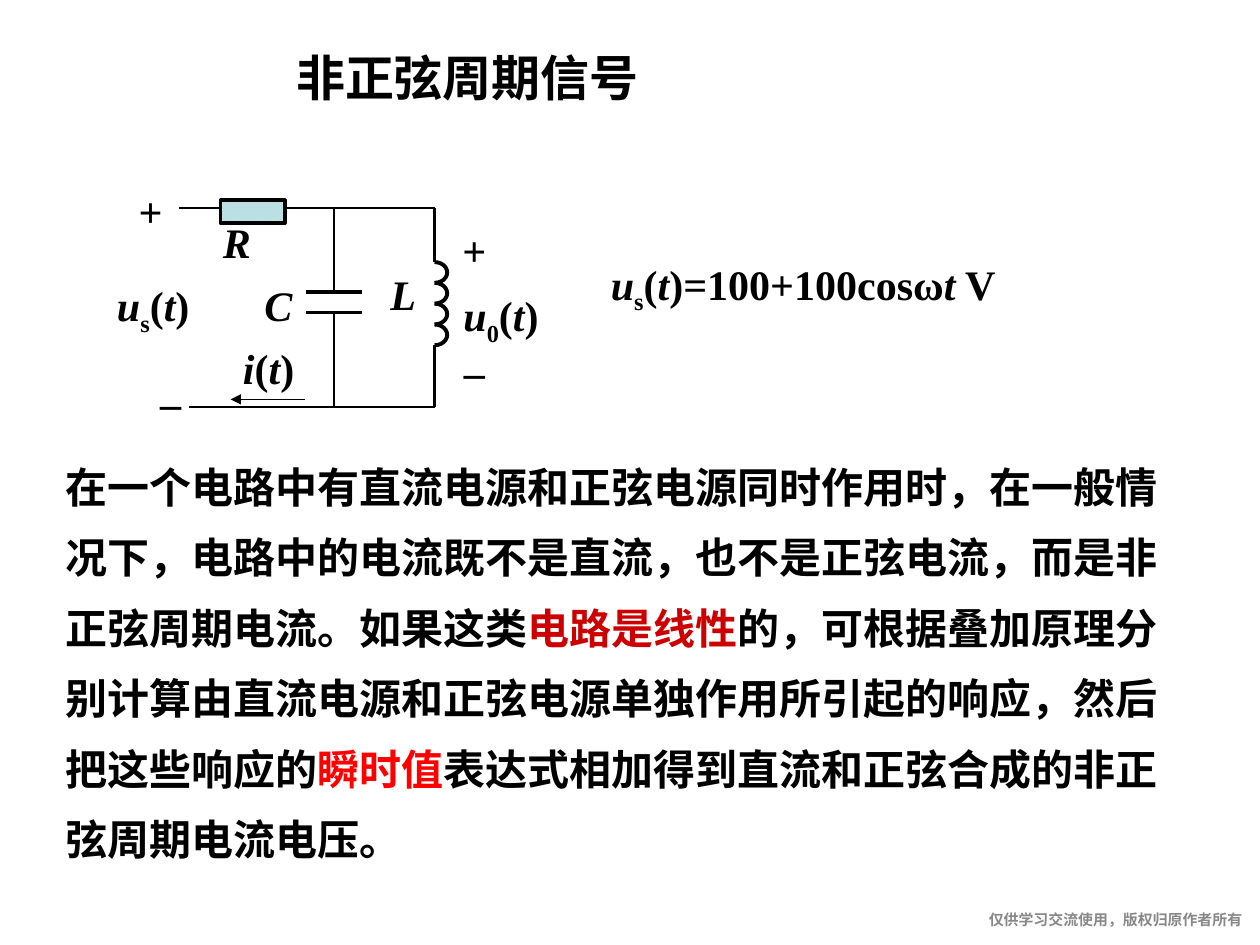
from lxml import etree
from pptx import Presentation
from pptx.dml.color import RGBColor
from pptx.enum.lang import MSO_LANGUAGE_ID as Language
from pptx.enum.shapes import MSO_CONNECTOR as Connector, MSO_SHAPE as Shape
from pptx.enum.text import MSO_ANCHOR as Anchor, MSO_AUTO_SIZE as AutoSize, PP_ALIGN as Align
from pptx.oxml.ns import qn
from pptx.util import Inches, Pt

BLACK = RGBColor(0, 0, 0)
DARK_RED = RGBColor(0xCC, 0, 0)
RED = RGBColor(0xFF, 0, 0)
GRAY = RGBColor(0x88, 0x88, 0x88)
RESISTOR_FILL = RGBColor(0xBB, 0xE0, 0xE3)
SERIF = "Times New Roman"

TITLE = "非正弦周期信号"
FOOTER = "仅供学习交流使用，版权归原作者所有"
BODY = [
    ("在一个电路中有直流电源和正弦电源同时作用时，在一般情况下，电路中的电流既不是直流，"
     "也不是正弦电流，而是非正弦周期电流。如果这类", BLACK),
    ("电路是线性", DARK_RED),
    ("的，可根据叠加原理分别计算由直流电源和正弦电源单独作用所引起的响应，然后把这些响应的", BLACK),
    ("瞬时值", RED),
    ("表达式相加得到直流和正弦合成的非正弦周期电流电压。", BLACK),
]

OF_TIME = [("(", ""), ("t", "italic"), (")", "")]
SOURCE_VOLTAGE = [("u", "italic"), ("s", "sub")] + OF_TIME
OUTPUT_VOLTAGE = [("u", "italic"), ("0", "sub")] + OF_TIME
CURRENT = [("i", "italic")] + OF_TIME
EQUATION = SOURCE_VOLTAGE[:-1] + [(")=100+100cosω", ""), ("t", "italic"), (" V", "")]

LABELS = [
    ([("R", "italic")], 1.67, 1.67, 0.42, False),
    ([("C", "italic")], 2, 2.17, 0.42, False),
    ([("L", "italic")], 3, 2.08, 0.4, False),
    (OUTPUT_VOLTAGE, 3.58, 2.25, 1, True),
    (SOURCE_VOLTAGE, 0.83, 2.17, 1, True),
    (CURRENT, 1.83, 2.67, 0.75, True),
    (EQUATION, 4.75, 2, 3.26, False),
]
POLARITIES = [
    ("+", 1, 1.42, 0.39, False),
    ("_", 1.17, 2.83, 0.37, True),
    ("+", 3.57, 1.73, 0.39, False),
    ("_", 3.58, 2.58, 0.37, True),
]

TOP, BOTTOM = 1.65, 3.23
PLATE_TOP, PLATE_BOTTOM = 2.32, 2.48
CAPACITOR_X, COIL_X = 2.65, 3.45
COIL_TOP, COIL_BOTTOM, COIL_TURNS = 2.08, 2.74, 4
WIRES = [
    (1.42, TOP, COIL_X, TOP),
    (1.5, BOTTOM, COIL_X, BOTTOM),
    (COIL_X, TOP, COIL_X, COIL_TOP),
    (COIL_X, COIL_BOTTOM, COIL_X, BOTTOM),
    (CAPACITOR_X, TOP, CAPACITOR_X, PLATE_TOP),
    (CAPACITOR_X, PLATE_BOTTOM, CAPACITOR_X, BOTTOM),
]


def set_font(font, size, name=SERIF, color=BLACK):
    font.size, font.name, font.bold = Pt(size), name, True
    font.color.rgb = color


def add_text_box(slide, left, top, width, height, wrap=True):
    box = slide.shapes.add_textbox(Inches(left), Inches(top), Inches(width), Inches(height))
    box.text_frame.word_wrap = wrap
    box.text_frame.auto_size = AutoSize.SHAPE_TO_FIT_TEXT
    return box.text_frame


def add_chinese_run(paragraph, text):
    run = paragraph.add_run()
    run.text = text
    run.font.language_id = Language.SIMPLIFIED_CHINESE
    return run


def add_label(slide, parts, left, top, width, wrap):
    paragraph = add_text_box(slide, left, top, width, 0.5, wrap).paragraphs[0]
    set_font(paragraph.font, 24)
    for text, style in parts:
        run = paragraph.add_run()
        run.text = text
        run.font.italic = style == "italic"
        if style == "sub":
            run.font._element.set("baseline", "-25000")


def add_polarity(slide, sign, left, top, width, wrap):
    frame = add_text_box(slide, left, top, width, 0.5, wrap)
    frame.vertical_anchor = Anchor.MIDDLE
    paragraph = frame.paragraphs[0]
    paragraph.text = sign
    paragraph.alignment = Align.CENTER
    set_font(paragraph.font, 24)


def add_line(slide, x1, y1, x2, y2, weight=1.5, arrow=False):
    line = slide.shapes.add_connector(
        Connector.STRAIGHT, Inches(x1), Inches(y1), Inches(x2), Inches(y2))
    line.line.color.rgb = BLACK
    line.line.width = Pt(weight)
    if arrow:
        etree.SubElement(line.line._get_or_add_ln(), qn("a:tailEnd"), type="triangle")
    etree.SubElement(line._element.spPr, qn("a:effectLst"))


def add_outlined_shape(slide, kind, left, top, width, height):
    shape = slide.shapes.add_shape(
        kind, Inches(left), Inches(top), Inches(width), Inches(height))
    shape.shadow.inherit = False
    shape.line.color.rgb = BLACK
    shape.line.width = Pt(2.25)
    return shape


def add_resistor(slide):
    resistor = add_outlined_shape(slide, Shape.RECTANGLE, 1.75, 1.59, 0.51, 0.18)
    resistor.fill.solid()
    resistor.fill.fore_color.rgb = RESISTOR_FILL


def add_coil(slide):
    pitch = (COIL_BOTTOM - COIL_TOP) / COIL_TURNS
    for turn in range(COIL_TURNS):
        arc = add_outlined_shape(
            slide, Shape.ARC, COIL_X - 0.1, COIL_TOP + turn * pitch, 0.2, pitch)
        arc.adjustments[1] = 54
        arc.fill.background()


def add_circuit(slide):
    for wire in WIRES:
        add_line(slide, *wire)
    for plate_y in (PLATE_TOP, PLATE_BOTTOM):
        add_line(slide, 2.43, plate_y, 2.87, plate_y, 2.25)
    add_line(slide, 2.42, 3.17, 1.83, 3.17, 0.75, arrow=True)
    add_resistor(slide)
    add_coil(slide)


def add_title(slide):
    title = slide.shapes.title
    title.left, title.top = Inches(2.25), Inches(0.33)
    title.width, title.height = Inches(3.17), Inches(0.67)
    frame = title.text_frame
    frame.auto_size = AutoSize.NONE
    frame.vertical_anchor = Anchor.TOP
    paragraph = frame.paragraphs[0]
    paragraph.alignment = Align.LEFT
    set_font(paragraph.font, 28, "Arial")
    add_chinese_run(paragraph, TITLE)


def add_body(slide):
    paragraph = add_text_box(slide, 0.42, 3.45, 9.08, 3.45).paragraphs[0]
    paragraph.line_spacing = 1.4
    set_font(paragraph.font, 24)
    for text, color in BODY:
        add_chinese_run(paragraph, text).font.color.rgb = color


def add_footer(slide):
    frame = add_text_box(slide, 6.06, 7.23, 3.8, 0.22, wrap=False)
    frame.margin_left = frame.margin_right = frame.margin_top = frame.margin_bottom = 0
    paragraph = frame.paragraphs[0]
    paragraph.alignment = Align.RIGHT
    set_font(paragraph.font, 8.5, "Noto Sans CJK SC", GRAY)
    add_chinese_run(paragraph, FOOTER)


def main():
    presentation = Presentation()
    presentation.slide_width, presentation.slide_height = Inches(10), Inches(7.5)
    slide = presentation.slides.add_slide(presentation.slide_layouts[5])
    add_title(slide)
    add_body(slide)
    add_circuit(slide)
    for label in LABELS:
        add_label(slide, *label)
    for polarity in POLARITIES:
        add_polarity(slide, *polarity)
    add_footer(slide)
    presentation.save("out.pptx")


if __name__ == "__main__":
    main()
